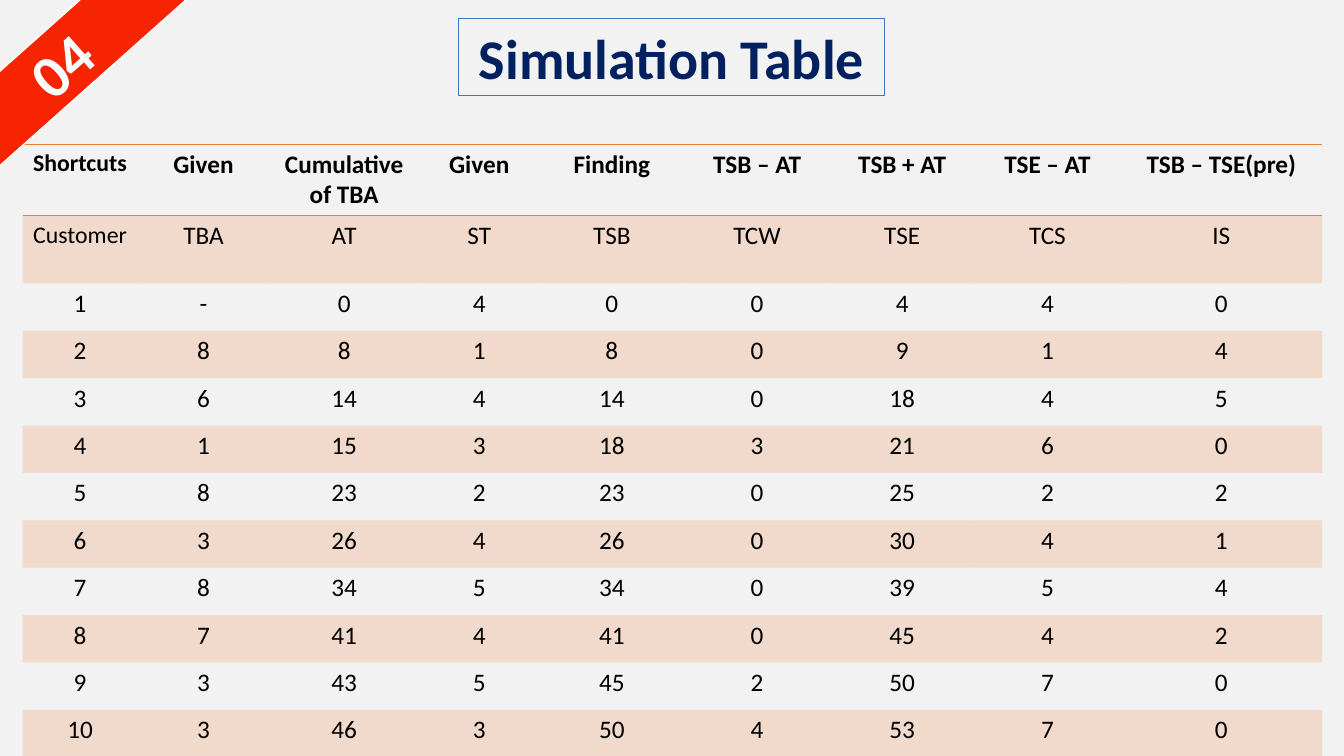
from dataclasses import dataclass

from lxml.etree import SubElement
from pptx import Presentation
from pptx.dml.color import RGBColor
from pptx.enum.shapes import MSO_SHAPE
from pptx.enum.text import MSO_ANCHOR, PP_ALIGN
from pptx.oxml import parse_xml
from pptx.oxml.ns import nsdecls, qn
from pptx.util import Inches, Pt


@dataclass(frozen=True)
class Theme:
    font: str = "Calibri"
    back: str = "F2F2F2"
    ink: str = "000000"
    navy: str = "002060"
    blue: str = "4472C4"
    red: str = "F62401"
    white: str = "FFFFFF"
    accent: str = "ED7D31"
    tint: int = 20
    title: int = 40
    badge: int = 43
    cell: int = 18
    small: int = 17
    plain: str = "{2D5ABB26-0587-4C30-8999-92F81FD0307C}"


def write(frame, text, size, font, color, bold=False, anchor=MSO_ANCHOR.TOP):
    frame.word_wrap = True
    frame.vertical_anchor = anchor
    line = frame.paragraphs[0]
    line.alignment = PP_ALIGN.CENTER
    run = line.add_run()
    run.text = text
    run.font.size = Pt(size)
    run.font.name = font
    run.font.bold = bold
    run.font.color.rgb = RGBColor.from_string(color)


class Deck:
    def __init__(self, theme):
        self.theme = theme
        self.file = Presentation()
        self.file.slide_width = Inches(13.33)
        self.file.slide_height = Inches(7.5)
        self.slide = self.file.slides.add_slide(self.file.slide_layouts[5])
        fill = self.slide.background.fill
        fill.solid()
        fill.fore_color.rgb = RGBColor.from_string(theme.back)

    def box(self, left, top, width, height):
        wide, high = self.file.slide_width, self.file.slide_height
        sides = (left, wide), (top, high), (width, wide), (height, high)
        return [int(share * full / 100) for share, full in sides]

    def edge(self, shape, color, width):
        shape.line.color.rgb = RGBColor.from_string(color)
        shape.line.width = Pt(width)

    def title(self, text, area):
        look = self.theme
        shape = self.slide.shapes.title
        shape.left, shape.top, shape.width, shape.height = self.box(*area)
        self.edge(shape, look.blue, 0.75)
        write(shape.text_frame, text, size=look.title, font=look.font,
              color=look.navy, bold=True)

    def ribbon(self, text, area, angle):
        look = self.theme
        shape = self.slide.shapes.add_shape(MSO_SHAPE.RECTANGLE, *self.box(*area))
        shape.shadow.inherit = False
        shape.rotation = angle
        shape.fill.solid()
        shape.fill.fore_color.rgb = RGBColor.from_string(look.red)
        self.edge(shape, look.white, 1)
        write(shape.text_frame, text, size=look.badge, font=look.font,
              color=look.white, bold=True, anchor=MSO_ANCHOR.MIDDLE)

    def shade(self, cell):
        cell.fill.solid()
        cell.fill.fore_color.rgb = RGBColor.from_string(self.theme.accent)
        color = next(cell._tc.tcPr.iter(qn("a:srgbClr")))
        SubElement(color, qn("a:alpha"), val=str(self.theme.tint * 1000))

    def rule(self, cell, sides):
        for spot, side in enumerate(sides):
            line = parse_xml(
                f'<a:ln{side} {nsdecls("a")} w="{Pt(1)}"><a:solidFill>'
                f'<a:srgbClr val="{self.theme.accent}"/></a:solidFill></a:ln{side}>')
            cell._tc.get_or_add_tcPr().insert(spot, line)

    def table(self, data, area, cols, rows):
        look = self.theme
        place = self.box(*area)
        table = self.slide.shapes.add_table(len(data), len(cols), *place).table
        table._tbl.tblPr.find(qn("a:tableStyleId")).text = look.plain
        for col, part in zip(table.columns, cols):
            col.width = int(place[2] * part / sum(cols))
        for row, part in zip(table.rows, rows):
            row.height = int(place[3] * part / sum(rows))
        borders = {0: "TB", len(data) - 1: "B"}
        for r, values in enumerate(data):
            for c, value in enumerate(values):
                cell = table.cell(r, c)
                label = r < 2 and c == 0
                write(cell.text_frame, str(value), font=look.font, color=look.ink,
                      size=look.small if label else look.cell, bold=r == 0)
                if r % 2:
                    self.shade(cell)
                else:
                    cell.fill.background()
                self.rule(cell, borders.get(r, ""))


HEADS = [
    ["Shortcuts", "Given", "Cumulative of TBA", "Given", "Finding",
     "TSB – AT", "TSB + AT", "TSE – AT", "TSB – TSE(pre)"],
    ["Customer", "TBA", "AT", "ST", "TSB", "TCW", "TSE", "TCS", "IS"],
]
TIMES = [
    ["-", 0, 4, 0, 0, 4, 4, 0],
    [8, 8, 1, 8, 0, 9, 1, 4],
    [6, 14, 4, 14, 0, 18, 4, 5],
    [1, 15, 3, 18, 3, 21, 6, 0],
    [8, 23, 2, 23, 0, 25, 2, 2],
    [3, 26, 4, 26, 0, 30, 4, 1],
    [8, 34, 5, 34, 0, 39, 5, 4],
    [7, 41, 4, 41, 0, 45, 4, 2],
    [3, 43, 5, 45, 2, 50, 7, 0],
    [3, 46, 3, 50, 4, 53, 7, 0],
]

deck = Deck(Theme())
deck.table(
    HEADS + [[guest, *times] for guest, times in enumerate(TIMES, 1)],
    area=(1.68, 19.07, 96.7, 80.6),
    cols=[114, 131, 148, 120, 143, 145, 143, 145, 200],
    rows=[67] * len(HEADS) + [47] * len(TIMES),
)
deck.title("Simulation Table", area=(34.13, 2.4, 31.66, 10.27))
deck.ribbon("04", area=(-5.63, 3.87, 20.26, 9.33), angle=318.3)
deck.file.save("out.pptx")
